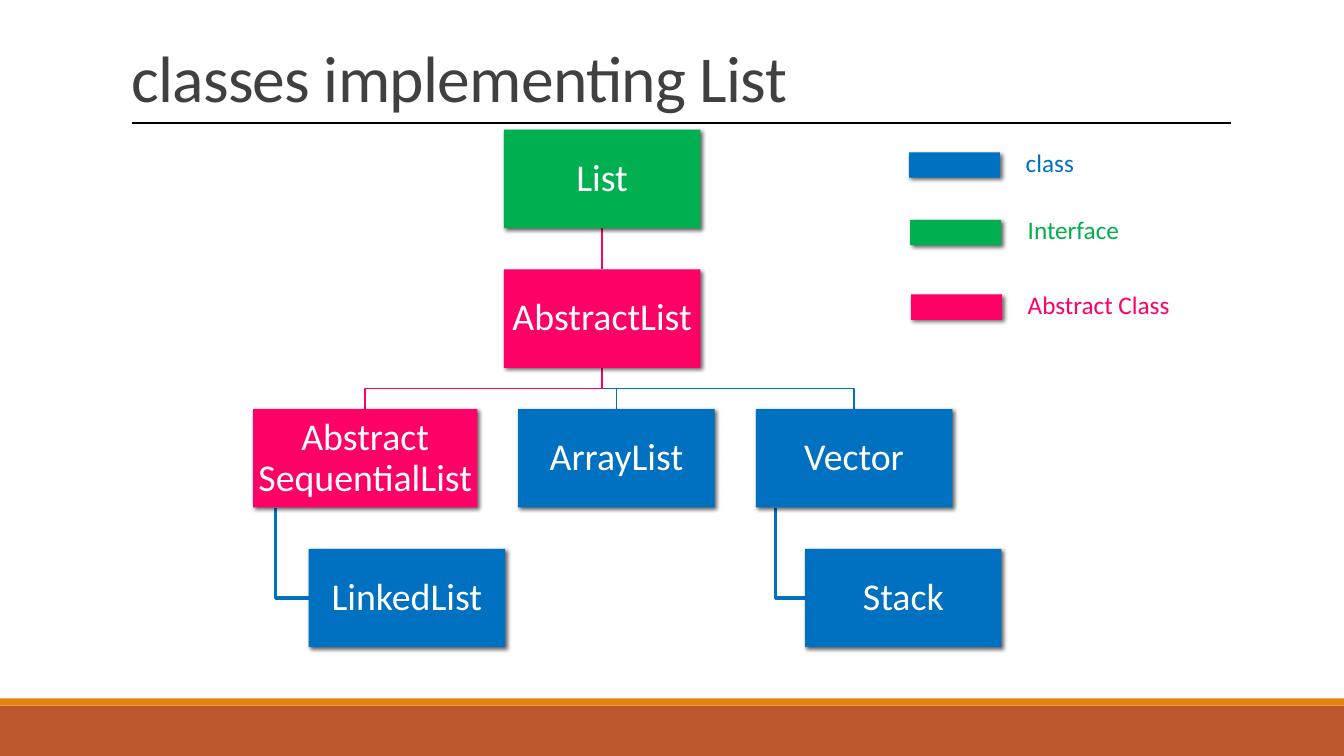
"""Build a slide with the hierarchy of classes implementing List."""
from dataclasses import dataclass

from lxml import etree
from pptx import Presentation
from pptx.dml.color import RGBColor
from pptx.enum.shapes import MSO_CONNECTOR, MSO_SHAPE
from pptx.enum.text import MSO_ANCHOR, MSO_AUTO_SIZE, PP_ALIGN
from pptx.oxml import parse_xml
from pptx.oxml.ns import qn
from pptx.util import Cm, Pt

RECTANGLE = MSO_SHAPE.RECTANGLE
STRAIGHT = MSO_CONNECTOR.STRAIGHT
MIDDLE, BOTTOM = MSO_ANCHOR.MIDDLE, MSO_ANCHOR.BOTTOM
NO_AUTO_SIZE, GROW = MSO_AUTO_SIZE.NONE, MSO_AUTO_SIZE.SHAPE_TO_FIT_TEXT
LEFT, CENTER = PP_ALIGN.LEFT, PP_ALIGN.CENTER
TITLE_ONLY = 5
SHADOW = (
    '<a:effectLst xmlns:a="http://schemas.openxmlformats.org/drawingml/2006/main">'
    '<a:outerShdw blurRad="38100" dist="25400" dir="2700000" rotWithShape="0">'
    '<a:srgbClr val="000000"><a:alpha val="60000"/></a:srgbClr>'
    '</a:outerShdw></a:effectLst>'
)


@dataclass(frozen=True)
class Theme:
    font: str = "Calibri"
    title: str = "404040"
    white: str = "FFFFFF"
    rule: str = "000000"
    class_color: str = "0070C0"
    interface: str = "00B050"
    abstract: str = "FF0066"
    footer: str = "BD582C"
    footer_edge: str = "E48312"
    title_size: float = 46.8
    box_size: float = 27
    legend_size: float = 18


@dataclass(frozen=True)
class Box:
    text: str
    color: str
    left: float
    row: int
    width: float = 4.95
    height: float = 2.48

    @property
    def top(self):
        return 3.27 + 3.52 * self.row

    @property
    def bottom(self):
        return self.top + self.height

    @property
    def center(self):
        return self.left + self.width / 2


def write_text(frame, text, *, font, size, color, align=LEFT,
               line_spacing=1.0, tracking=None):
    for index, line in enumerate(text.split("\n")):
        paragraph = frame.add_paragraph() if index else frame.paragraphs[0]
        paragraph.alignment = align
        paragraph.line_spacing = line_spacing
        paragraph.space_before = paragraph.space_after = Pt(0)
        run = paragraph.add_run()
        run.text = line
        run.font.name = font
        run.font.size = Pt(size)
        run.font.color.rgb = RGBColor.from_string(color)
        if tracking is not None:
            run.font._element.set("spc", str(tracking))


class SlideBuilder:
    def __init__(self, slide, theme):
        self.slide = slide
        self.theme = theme

    def title(self, text, left, top, width, height):
        shape = self.slide.shapes.title
        shape.left, shape.top = Cm(left), Cm(top)
        shape.width, shape.height = Cm(width), Cm(height)
        frame = shape.text_frame
        frame.auto_size = NO_AUTO_SIZE
        frame.vertical_anchor = BOTTOM
        write_text(frame, text, font=self.theme.font, size=self.theme.title_size,
                   color=self.theme.title, line_spacing=0.85, tracking=-50)

    def rectangle(self, left, top, width, height, color, shadow=False):
        shape = self.slide.shapes.add_shape(
            RECTANGLE, Cm(left), Cm(top), Cm(width), Cm(height))
        shape.fill.solid()
        shape.fill.fore_color.rgb = RGBColor.from_string(color)
        shape.line.fill.background()
        shape.shadow.inherit = False
        if shadow:
            properties = shape._element.spPr
            properties.replace(properties.find(qn("a:effectLst")), parse_xml(SHADOW))
        return shape

    def box(self, box):
        shape = self.rectangle(box.left, box.top, box.width, box.height,
                               box.color, shadow=True)
        frame = shape.text_frame
        frame.word_wrap = True
        frame.vertical_anchor = MIDDLE
        frame.margin_left = frame.margin_right = Cm(0.05)
        frame.margin_top = frame.margin_bottom = Cm(0.05)
        write_text(frame, box.text, font=self.theme.font, size=self.theme.box_size,
                   color=self.theme.white, align=CENTER, line_spacing=0.9)

    def label(self, text, left, top, width, color):
        shape = self.slide.shapes.add_textbox(Cm(left), Cm(top), Cm(width), Cm(1.02))
        frame = shape.text_frame
        frame.word_wrap = False
        frame.auto_size = GROW
        write_text(frame, text, font=self.theme.font, size=self.theme.legend_size,
                   color=color)

    def line(self, start, end, color, weight):
        connector = self.slide.shapes.add_connector(
            STRAIGHT, *(Cm(value) for value in (*start, *end)))
        connector.line.color.rgb = RGBColor.from_string(color)
        connector.line.width = Pt(weight)
        etree.SubElement(connector._element.spPr, qn("a:effectLst"))

    def bent_line(self, points, color, weight):
        start, *others = [(Cm(x), Cm(y)) for x, y in points]
        builder = self.slide.shapes.build_freeform(*start)
        builder.add_line_segments(others, close=False)
        shape = builder.convert_to_shape()
        shape.fill.background()
        shape.line.color.rgb = RGBColor.from_string(color)
        shape.line.width = Pt(weight)
        shape.shadow.inherit = False

    def branch(self, parent, child):
        middle = (parent.bottom + child.top) / 2
        self.bent_line([(parent.center, parent.bottom), (parent.center, middle),
                        (child.center, middle), (child.center, child.top)],
                       child.color, 1.25)

    def hang(self, parent, child):
        stem = parent.left + parent.width / 10
        middle = child.top + child.height / 2
        self.bent_line([(stem, parent.bottom), (stem, middle), (child.left, middle)],
                       child.color, 2.25)


def main():
    theme = Theme()
    presentation = Presentation()
    presentation.slide_width, presentation.slide_height = Cm(33.87), Cm(19.05)
    slide = presentation.slides.add_slide(presentation.slide_layouts[TITLE_ONLY])
    builder = SlideBuilder(slide, theme)

    builder.rectangle(0, 17.78, 33.87, 1.27, theme.footer)
    builder.rectangle(0, 17.6, 33.87, 0.18, theme.footer_edge)
    builder.line((3.33, 3.1), (31.01, 3.1), theme.rule, 1)
    builder.title("classes implementing List", 3.05, 0.64, 27.94, 2.41)

    root = Box("List", theme.interface, 12.7, 0)
    abstract_list = Box("AbstractList", theme.abstract, 12.7, 1)
    sequential = Box("Abstract\nSequentialList", theme.abstract, 6.38, 2, 5.65)
    array_list = Box("ArrayList", theme.class_color, 13.06, 2)
    vector = Box("Vector", theme.class_color, 19.05, 2)
    linked_list = Box("LinkedList", theme.class_color, 7.78, 3)
    stack = Box("Stack", theme.class_color, 20.29, 3)

    for parent, child in ((vector, stack), (sequential, linked_list)):
        builder.hang(parent, child)
    for child in (vector, array_list, sequential):
        builder.branch(abstract_list, child)
    builder.line((root.center, root.bottom), (root.center, abstract_list.top),
                 theme.abstract, 1.25)
    for box in (root, abstract_list, sequential, linked_list, array_list, vector, stack):
        builder.box(box)

    legend = (
        ("class", theme.class_color, 22.91, 3.84, 25.6, 1.73),
        ("Interface", theme.interface, 22.94, 5.54, 25.65, 2.84),
        ("Abstract Class", theme.abstract, 22.96, 7.42, 25.65, 4.11),
    )
    for text, color, key_left, key_top, label_left, label_width in legend:
        builder.rectangle(key_left, key_top, 2.29, 0.64, color, shadow=True)
        builder.label(text, label_left, key_top - 0.26, label_width, color)

    presentation.save("out.pptx")


if __name__ == "__main__":
    main()
